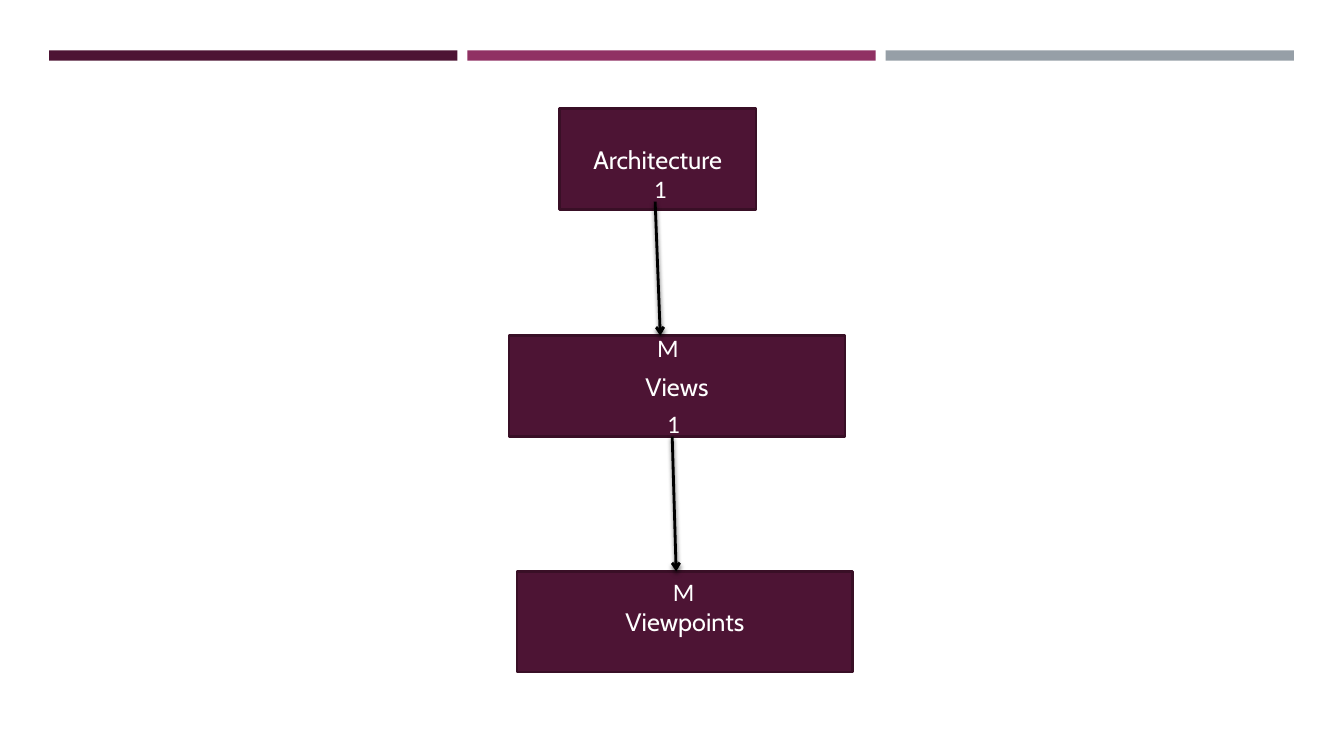
import dataclasses
import typing

import lxml.etree
import pptx
import pptx.dml.color
import pptx.enum.shapes
import pptx.enum.text
import pptx.oxml
import pptx.oxml.ns
import pptx.util

Cm = pptx.util.Cm
Pt = pptx.util.Pt

COLOURS = {
    "plum": "4D1434",
    "plum edge": "390F26",
    "magenta": "903163",
    "grey": "969FA7",
    "white": "FFFFFF",
    "black": "000000",
}
BAR_LEFT, BAR_TOP, BAR_WIDTH, BAR_HEIGHT, BAR_STEP = 1.24, 1.27, 10.29, 0.26, 10.54
BOX_HEIGHT = 2.54
LABEL_HEIGHT = 1.02
BOX_FRAME = {
    "word_wrap": True,
    "vertical_anchor": pptx.enum.text.MSO_ANCHOR.MIDDLE,
}
LABEL_FRAME = {
    "word_wrap": False,
    "auto_size": pptx.enum.text.MSO_AUTO_SIZE.SHAPE_TO_FIT_TEXT,
}


@dataclasses.dataclass(frozen=True)
class Box:
    text: str
    left: float
    top: float
    width: float


@dataclasses.dataclass(frozen=True)
class Label:
    text: str
    left: float
    top: float
    width: float


@dataclasses.dataclass(frozen=True)
class Arrow:
    start: tuple[float, float]
    end: tuple[float, float]


BOXES = [
    Box("Architecture", 14.1, 2.74, 4.95),
    Box("Views", 12.83, 8.46, 8.46),
    Box("Viewpoints", 13.03, 14.4, 8.46),
]
ARROWS = [
    Arrow((16.51, 5.08), (16.64, 8.46)),
    Arrow((16.94, 11), (17.04, 14.4)),
]
LABELS = [
    Label("1", 16.23, 4.24, 0.84),
    Label("M", 16.31, 8.26, 1.07),
    Label("1", 16.56, 10.16, 0.84),
    Label("M", 16.71, 14.4, 1.07),
]


def colour(name: str) -> pptx.dml.color.RGBColor:
    return pptx.dml.color.RGBColor.from_string(COLOURS[name])


def apply_format(target: typing.Any, values: dict[str, typing.Any]) -> None:
    for name, value in values.items():
        setattr(target, name, value)


def write_text(shape: typing.Any, text: str, font_name: str, frame_format: dict[str, typing.Any]) -> typing.Any:
    apply_format(shape.text_frame, frame_format)
    paragraph = shape.text_frame.paragraphs[0]
    run = paragraph.add_run()
    run.text = text
    apply_format(run.font, {"name": font_name, "size": Pt(18)})
    run.font.color.rgb = colour("white")
    return paragraph


def add_rectangle(slide: typing.Any, left: float, top: float, width: float, height: float, fill: str) -> typing.Any:
    shape = slide.shapes.add_shape(
        pptx.enum.shapes.MSO_SHAPE.RECTANGLE, Cm(left), Cm(top), Cm(width), Cm(height)
    )
    shape.shadow.inherit = False
    shape.fill.solid()
    shape.fill.fore_color.rgb = colour(fill)
    shape.line.fill.background()
    return shape


def add_box(slide: typing.Any, box: Box) -> None:
    shape = add_rectangle(slide, box.left, box.top, box.width, BOX_HEIGHT, "plum")
    shape.line.color.rgb = colour("plum edge")
    shape.line.width = Pt(1.75)
    paragraph = write_text(shape, box.text, "Cabin", BOX_FRAME)
    paragraph.alignment = pptx.enum.text.PP_ALIGN.CENTER


def add_label(slide: typing.Any, label: Label) -> None:
    shape = slide.shapes.add_textbox(
        Cm(label.left), Cm(label.top), Cm(label.width), Cm(LABEL_HEIGHT)
    )
    write_text(shape, label.text, "Calibri", LABEL_FRAME)


def add_arrow(slide: typing.Any, arrow: Arrow) -> None:
    connector = slide.shapes.add_connector(
        pptx.enum.shapes.MSO_CONNECTOR.STRAIGHT,
        *[Cm(length) for length in arrow.start + arrow.end],
    )
    connector.line.color.rgb = colour("black")
    connector.line.width = Pt(2)
    qualified = pptx.oxml.ns.qn
    properties = connector.element.spPr
    line = properties.find(qualified("a:ln"))
    lxml.etree.SubElement(line, qualified("a:tailEnd"), type="arrow")
    effects = lxml.etree.SubElement(properties, qualified("a:effectLst"))
    shadow = lxml.etree.SubElement(
        effects,
        qualified("a:outerShdw"),
        blurRad=str(Pt(3)),
        dist=str(Pt(2)),
        dir="5400000",
        rotWithShape="0",
    )
    tint = lxml.etree.SubElement(shadow, qualified("a:srgbClr"), val=COLOURS["black"])
    lxml.etree.SubElement(tint, qualified("a:alpha"), val="55000")


def main() -> None:
    presentation = pptx.Presentation()
    apply_format(presentation, {"slide_width": Cm(33.87), "slide_height": Cm(19.05)})
    slide = presentation.slides.add_slide(presentation.slide_layouts[6])
    for index, fill in enumerate(["plum", "magenta", "grey"]):
        add_rectangle(slide, BAR_LEFT + index * BAR_STEP, BAR_TOP, BAR_WIDTH, BAR_HEIGHT, fill)
    for box in BOXES:
        add_box(slide, box)
    for arrow in ARROWS:
        add_arrow(slide, arrow)
    for label in LABELS:
        add_label(slide, label)
    presentation.save("out.pptx")


if __name__ == "__main__":
    main()
